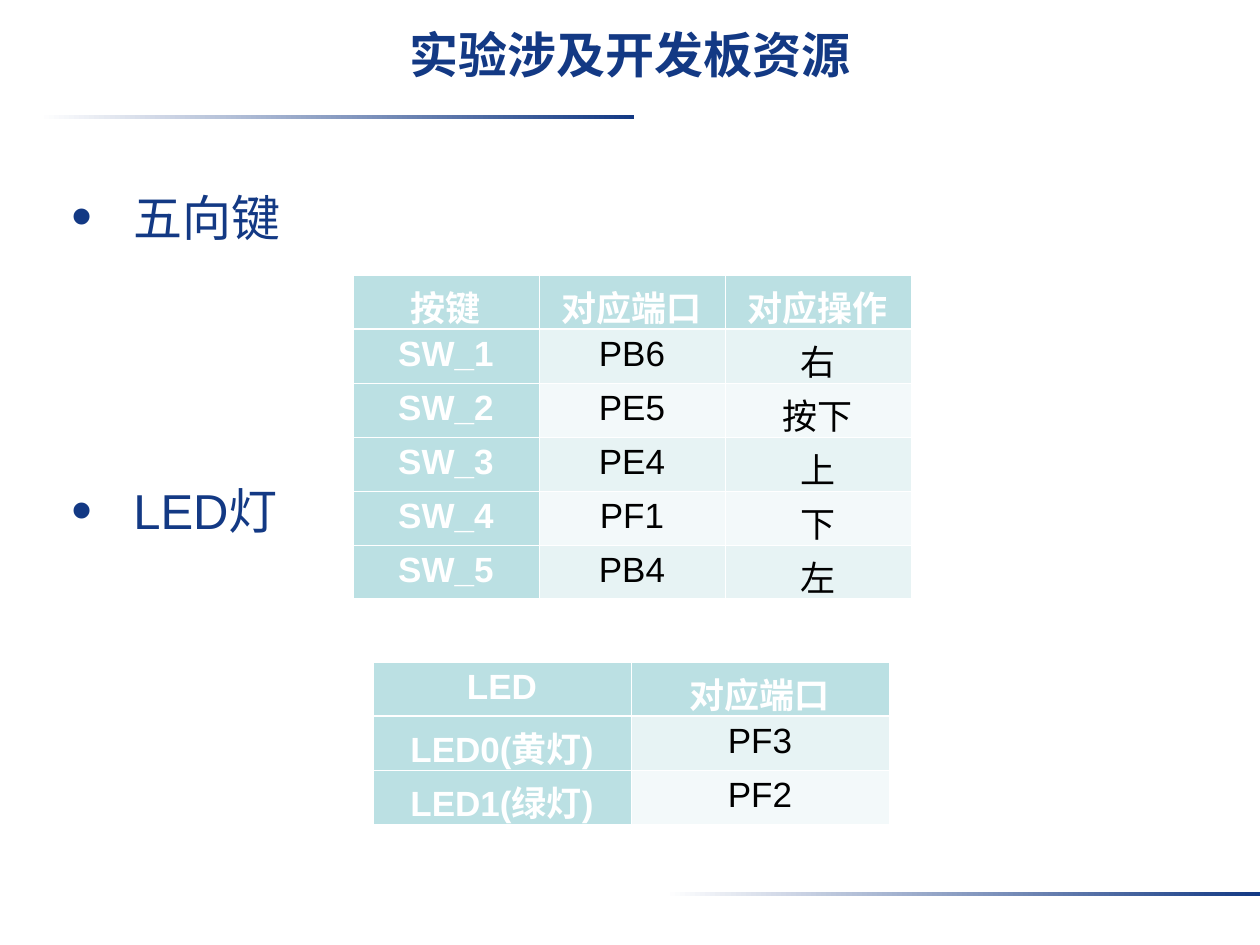
from lxml import etree
from pptx import Presentation
from pptx import util as u
from pptx.dml.color import RGBColor
from pptx.enum import shapes, text
from pptx.oxml.ns import qn

PX = 914400 / 126
NAVY, WHITE, BLACK = "133984", "FFFFFF", "000000"
TEAL, BANDS = "BBE0E3", ("E7F3F4", "F3F9FA")
HAIRLINE, HEADER_LINE = 0.45, 1.47


def px(n):
    return u.Emu(round(n * PX))


def color(value):
    return RGBColor.from_string(value)


def add_run(p, content, size, fill, bold=False):
    r = p.add_run()
    r.text = content
    r.font.name = "Arial"
    r.font.size = u.Pt(size)
    r.font.bold = bold
    r.font.color.rgb = color(fill)


def add_text_frame(s, box):
    tf = s.shapes.add_textbox(*map(px, box)).text_frame
    tf.word_wrap = True
    tf.vertical_anchor = text.MSO_ANCHOR.TOP
    return tf


def add_fade_bar(s, box):
    sp = s.shapes.add_shape(shapes.MSO_SHAPE.RECTANGLE, *map(px, box))
    sp.shadow.inherit = False
    sp.line.fill.background()
    sp.fill.gradient()
    sp.fill.gradient_angle = 0
    for stop, position, value in zip(sp.fill.gradient_stops, (0, 1), (WHITE, NAVY)):
        stop.position = position
        stop.color.rgb = color(value)


def add_title(s, box, content):
    tf = add_text_frame(s, box)
    tf.margin_top = px(7)
    p = tf.paragraphs[0]
    p.alignment = text.PP_ALIGN.CENTER
    p.line_spacing = 0.88
    add_run(p, content, 28, NAVY, True)


def add_bullets(s, box, items):
    tf = add_text_frame(s, box)
    for i, (content, space) in enumerate(items):
        p = tf.add_paragraph() if i else tf.paragraphs[0]
        p.line_spacing = 1.1
        p.space_before = u.Pt(space)
        pPr = p._p.get_or_add_pPr()
        pPr.set("marL", str(px(62)))
        pPr.set("indent", str(-px(62)))
        bullet_color = etree.SubElement(pPr, qn("a:buClr"))
        etree.SubElement(bullet_color, qn("a:srgbClr"), val=NAVY)
        etree.SubElement(pPr, qn("a:buSzPct"), val="120000")
        etree.SubElement(pPr, qn("a:buFont"), typeface="Arial")
        etree.SubElement(pPr, qn("a:buChar"), char="•")
        add_run(p, content, 28, NAVY)


def set_borders(cell, widths):
    tcPr = cell._tc.get_or_add_tcPr()
    for side, width in widths.items():
        ln = etree.SubElement(tcPr, qn(f"a:ln{side}"), w=str(u.Pt(width)))
        fill = etree.SubElement(ln, qn("a:solidFill"))
        etree.SubElement(fill, qn("a:srgbClr"), val=WHITE)


def add_port_table(s, left, top, col_width, row_height, rows):
    n_rows, n_cols = len(rows), len(rows[0])
    size = px(col_width * n_cols), px(row_height * n_rows)
    table = s.shapes.add_table(n_rows, n_cols, px(left), px(top), *size).table
    for col in table.columns:
        col.width = px(col_width)
    for i, row in enumerate(rows):
        table.rows[i].height = px(row_height)
        for j, content in enumerate(row):
            cell = table.cell(i, j)
            cell.margin_left = cell.margin_right = px(10)
            cell.margin_top = cell.margin_bottom = px(6)
            set_borders(cell, {
                "L": HAIRLINE,
                "R": HAIRLINE,
                "T": HEADER_LINE if i == 1 else HAIRLINE,
                "B": HEADER_LINE if i == 0 else HAIRLINE,
            })
            heading = i == 0 or j == 0
            cell.fill.solid()
            cell.fill.fore_color.rgb = color(TEAL if heading else BANDS[(i - 1) % 2])
            p = cell.text_frame.paragraphs[0]
            p.alignment = text.PP_ALIGN.CENTER
            add_run(p, content, 20, WHITE if heading else BLACK, heading)


def main():
    prs = Presentation()
    prs.slide_width, prs.slide_height = px(1260), px(945)
    s = prs.slides.add_slide(prs.slide_layouts[6])
    for left, top in ((39, 115), (665, 892)):
        add_fade_bar(s, (left, top, 595, 4))
    add_title(s, (0, 25, 1260, 95), "实验涉及开发板资源")
    add_bullets(s, (59, 175, 1134, 698), [("五向键", 7), ("LED灯", 131)])
    add_port_table(s, 373, 662, 258, 42, [
        ("LED", "对应端口"),
        ("LED0(黄灯)", "PF3"),
        ("LED1(绿灯)", "PF2"),
    ])
    add_port_table(s, 353, 275, 186, 42, [
        ("按键", "对应端口", "对应操作"),
        ("SW_1", "PB6", "右"),
        ("SW_2", "PE5", "按下"),
        ("SW_3", "PE4", "上"),
        ("SW_4", "PF1", "下"),
        ("SW_5", "PB4", "左"),
    ])
    prs.save("out.pptx")


if __name__ == "__main__":
    main()
